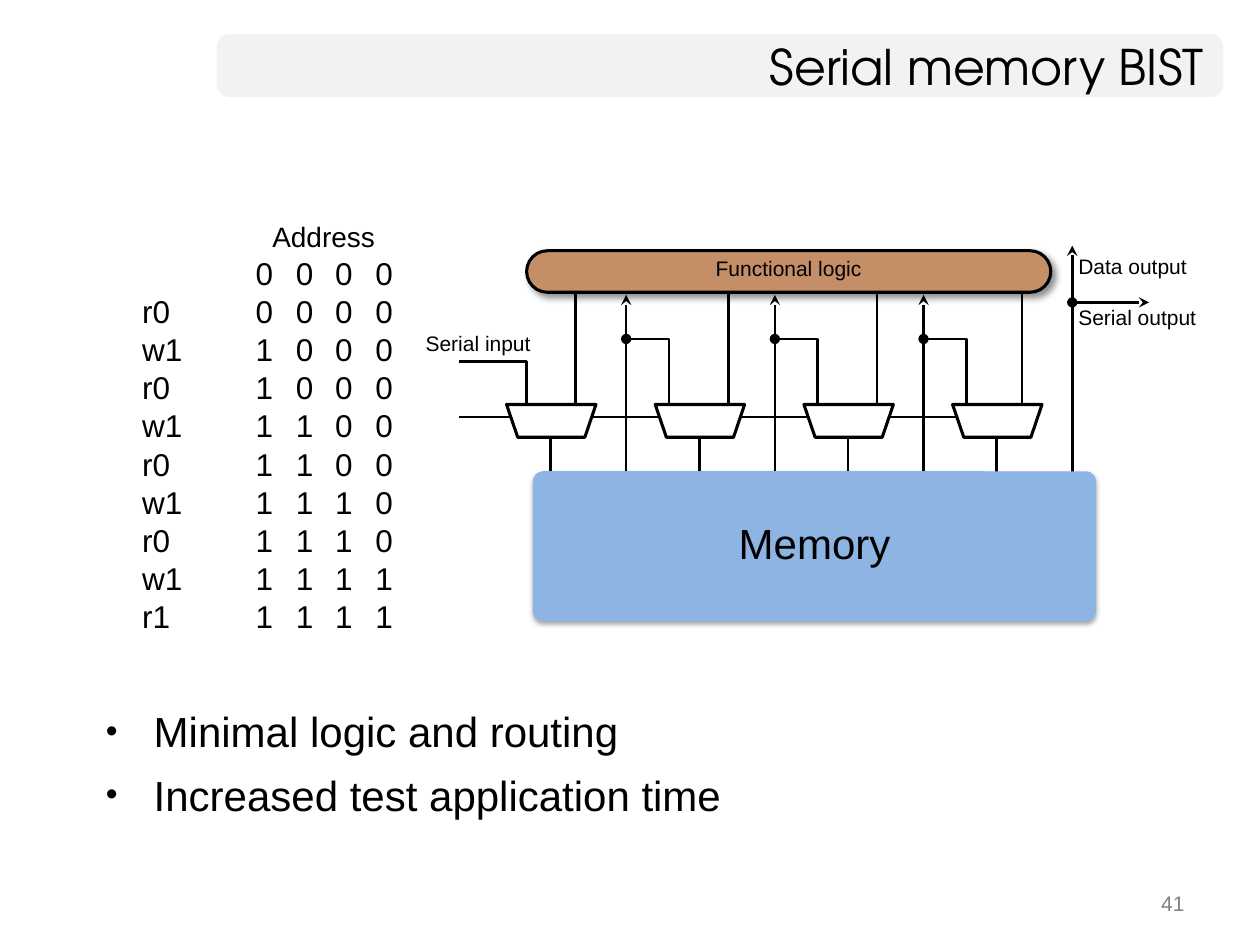
from lxml.etree import SubElement
from pptx import Presentation
from pptx.dml.color import RGBColor
from pptx.enum.shapes import MSO_CONNECTOR, MSO_SHAPE
from pptx.enum.text import MSO_ANCHOR, MSO_AUTO_SIZE, PP_ALIGN
from pptx.oxml.ns import qn
from pptx.util import Inches, Pt

STEPS = ["r0", "w1"] * 4 + ["r1"]
TABS = [(1.04, "r"), (1.36, "r"), (1.67, "r"), (1.99, "r")]


def paint(color, shade):
    """Set a fill, line or font colour from a hex string."""
    color.rgb = RGBColor.from_string(shade)


def node(parent, tag, **attrs):
    """Append a drawing element with attributes."""
    return SubElement(parent, qn("a:" + tag), {k: str(v) for k, v in attrs.items()})


def style(para, size, face="Arial", shade="000000", align=None):
    """Set the font and alignment of a paragraph."""
    para.font.size, para.font.name = Pt(size), face
    paint(para.font.color, shade)
    if align is not None:
        para.alignment = align


def place(shape, x, y, w, h):
    """Move and size a shape."""
    shape.left, shape.top = Inches(x), Inches(y)
    shape.width, shape.height = Inches(w), Inches(h)


def block(slide, kind, x, y, w, h, adj, fill, line=None):
    """Add a filled preset shape without shadow."""
    shape = slide.shapes.add_shape(kind, Inches(x), Inches(y), Inches(w), Inches(h))
    shape.adjustments[0] = adj
    shape.shadow.inherit = False
    shape.fill.solid()
    paint(shape.fill.fore_color, fill)
    if line:
        shape.line.width = Pt(1.75)
        paint(shape.line.color, line)
    else:
        shape.line.fill.background()
    return shape


def unit(slide, x, y, w, h, adj, fill, text, size, shadow, line=None):
    """Add a named round block with a soft shadow."""
    shape = block(slide, MSO_SHAPE.ROUNDED_RECTANGLE, x, y, w, h, adj, fill, line)
    alpha, blur, dist, angle = shadow
    effect = shape._element.spPr.find(qn("a:effectLst"))
    outer = node(effect, "outerShdw", blurRad=Pt(blur), dist=Pt(dist),
                 dir=angle * 60000, algn="ctr", rotWithShape=0)
    node(node(outer, "srgbClr", val="000000"), "alpha", val=alpha * 1000)
    frame = shape.text_frame
    frame.vertical_anchor = MSO_ANCHOR.MIDDLE
    frame.margin_bottom = Inches(0.1)
    frame.text = text
    style(frame.paragraphs[0], size, align=PP_ALIGN.CENTER)


def wire(slide, points, width=1.5, head=None, tail=None):
    """Draw a straight or bent wire with optional line ends."""
    spots = [(Inches(x), Inches(y)) for x, y in points]
    if len(spots) == 2:
        shape = slide.shapes.add_connector(MSO_CONNECTOR.STRAIGHT, *spots[0], *spots[1])
    else:
        path = slide.shapes.build_freeform(*spots[0])
        path.add_line_segments(spots[1:], close=False)
        shape = path.convert_to_shape()
        shape.fill.background()
    shape.line.width = Pt(width)
    paint(shape.line.color, "000000")
    edge = shape._element.spPr.find(qn("a:ln"))
    for tag, kind in (("headEnd", head), ("tailEnd", tail)):
        if kind:
            node(edge, tag, type=kind)
    node(shape._element.spPr, "effectLst")


def label(slide, x, y, w, h, lines, size=12, shade="000000", align=None, gap=0):
    """Add a text box of one or more lines."""
    frame = slide.shapes.add_textbox(Inches(x), Inches(y), Inches(w), Inches(h)).text_frame
    frame.word_wrap = True
    frame.vertical_anchor = MSO_ANCHOR.MIDDLE
    frame.text = "\n".join(lines)
    for i, para in enumerate(frame.paragraphs):
        style(para, size, shade=shade, align=align)
        para.space_before = Pt(gap if i else 0)


def header(slide, x, y, w, h):
    """Place the title on its grey bar."""
    bar = block(slide, MSO_SHAPE.ROUNDED_RECTANGLE, x, y, w, h, 0.21, "F2F2F2")
    slide.shapes._spTree.insert(2, bar._element)
    title = slide.shapes.title
    place(title, x, y, w - 0.06, h)
    frame = title.text_frame
    frame.text = "Serial memory BIST"
    frame.auto_size = MSO_AUTO_SIZE.NONE
    frame.vertical_anchor = MSO_ANCHOR.MIDDLE
    style(frame.paragraphs[0], 28, "TeX Gyre Adventor", align=PP_ALIGN.RIGHT)


def points(slide, x, y, w, h):
    """Fill the body placeholder with the bullet list."""
    body = slide.placeholders[1]
    place(body, x, y, w, h)
    frame = body.text_frame
    frame.text = "Minimal logic and routing\nIncreased test application time"
    frame.auto_size = MSO_AUTO_SIZE.NONE
    for i, para in enumerate(frame.paragraphs):
        props = para._p.get_or_add_pPr()
        props.set("marL", str(Inches(0.38)))
        props.set("indent", str(-Inches(0.38)))
        node(node(props, "buClr"), "srgbClr", val="000000")
        node(props, "buSzPct", val=80000)
        node(props, "buChar", char="•")
        para.space_before = Pt(7.5 * i)
        style(para, 24)


def march(slide, x, y, w, h):
    """List the test steps with the address bits on tab stops."""
    frame = slide.shapes.add_textbox(Inches(x), Inches(y), Inches(w), Inches(h)).text_frame
    frame.word_wrap = True
    frame.vertical_anchor = MSO_ANCHOR.MIDDLE
    rows = ["\tAddress", "\t0\t0\t0\t0"]
    for i, step in enumerate(STEPS):
        ones = (i + 1) // 2
        rows.append("\t".join([step] + ["1"] * ones + ["0"] * (4 - ones)))
    frame.text = "\n".join(rows)
    for i, para in enumerate(frame.paragraphs):
        stops = node(para._p.get_or_add_pPr(), "tabLst")
        for pos, align in TABS if i else [(1.44, "ctr")]:
            node(stops, "tab", pos=Inches(pos), algn=align)
        para.line_spacing = Pt(21.8)
        style(para, 18 if i else 16)


def circuit(slide, x, y):
    """Draw the memory, the logic and the chain of multiplexers."""
    pitch, top = 1.18, y + 1.26
    out = x + 4.87
    wire(slide, [(out, y), (out, y + 2.6)], head="stealth")
    wire(slide, [(out, y + 0.45), (out + 0.61, y + 0.45)], head="oval", tail="stealth")
    wire(slide, [(x, y + 1.36), (x + 4.32, y + 1.36)], 1)
    wire(slide, [(x, y + 0.92), (x + 0.54, y + 0.92), (x + 0.54, y + 1.34)])
    for i in range(3):
        left = x + 1.33 + i * pitch
        wire(slide, [(left, y + 2.5), (left, y + 0.39)], tail="stealth")
        wire(slide, [(left, y + 0.74), (left + 0.34, y + 0.74), (left + 0.34, top + 0.06)],
             head="oval")
    for i, feed in enumerate((0.93, 2.14, 3.32, 4.47)):
        left = x + 0.38 + i * pitch
        wire(slide, [(x + feed, y + 0.2), (x + feed, top + 0.06)])
        wire(slide, [(left + 0.35, top + 0.2), (left + 0.35, y + 2.2)])
        mux = block(slide, MSO_SHAPE.TRAPEZOID, left, top, 0.71, 0.26, 0.34,
                    "FFFFFF", "000000")
        mux.rotation = 180
    unit(slide, x + 0.54, y + 0.04, 4.16, 0.33, 0.5, "C48E66", "Functional logic", 12,
         (43, 4, 3, 45), "000000")
    unit(slide, x + 0.59, y + 1.79, 4.47, 1.19, 0.07, "8EB4E3", "Memory", 24,
         (35, 3.1, 1.8, 90))
    label(slide, out - 0.05, y + 0.01, 1.25, 0.71, ["Data output", "Serial output"], gap=15)
    label(slide, x - 0.36, y + 0.62, 1.1, 0.3, ["Serial input"])


def main():
    """Build and save the slide."""
    deck = Presentation()
    deck.slide_width, deck.slide_height = Inches(10), Inches(7.5)
    slide = deck.slides.add_slide(deck.slide_layouts[1])
    header(slide, 1.72, 0.27, 7.99, 0.5)
    points(slide, 0.74, 5.55, 5.3, 0.87)
    march(slide, 1.03, 1.66, 2.34, 3.43)
    circuit(slide, 3.64, 1.95)
    label(slide, 7.17, 6.99, 2.33, 0.35, ["41"], shade="808080", align=PP_ALIGN.RIGHT)
    deck.save("out.pptx")


if __name__ == "__main__":
    main()
